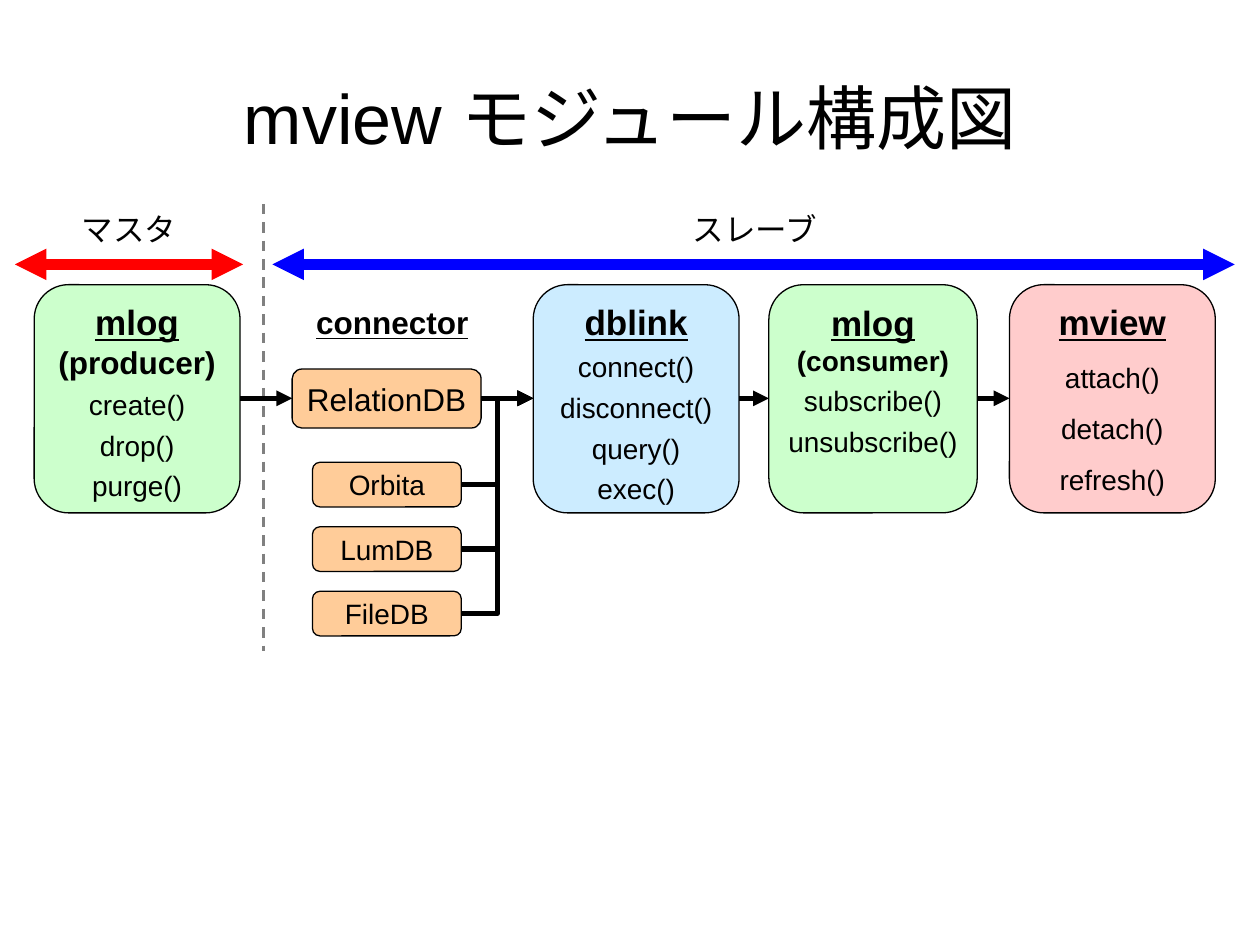
from dataclasses import dataclass

from pptx import Presentation
from pptx.dml.color import RGBColor
from pptx.enum.dml import MSO_LINE
from pptx.enum.shapes import MSO_CONNECTOR, MSO_SHAPE
from pptx.enum.text import MSO_ANCHOR, PP_ALIGN
from pptx.oxml.ns import qn
from pptx.util import Cm, Pt
from lxml.etree import SubElement

COLORS = {
    "text": "000000", "divider": "808080", "master": "FF0000", "slave": "0000FF",
    "log": "CCFFCC", "link": "CCECFF", "view": "FFCCCC", "database": "FFCC99",
}
FONT = "Arial"

# Shared positions, in centimetres
MODULE_TOP, MODULE_HEIGHT = 5.74, 4.6
FLOW_Y = MODULE_TOP + MODULE_HEIGHT / 2 - 0.01
LABEL_Y, SPAN_Y = 4.11, 5.33
DATABASE_TOP, DATABASE_STEP = 9.32, 1.3


@dataclass
class Module:
    name: str
    left: float
    width: float
    color: str
    functions: list[str]
    gap: float = 4
    role: str = ""
    role_size: float = 16

    @property
    def right(self) -> float:
        return self.left + self.width


@dataclass
class Database:
    name: str
    left: float
    top: float
    width: float
    height: float
    size: float

    @property
    def right(self) -> float:
        return self.left + self.width

    @property
    def middle(self) -> float:
        return self.top + self.height / 2


@dataclass
class Label:
    text: str
    left: float
    top: float
    width: float
    height: float = 1.02
    size: float = 18
    heading: bool = False


def rgb(color: str) -> RGBColor:
    return RGBColor.from_string(COLORS[color])


def style(paragraph, size: float, bold: bool = False, before: float = 0) -> None:
    paragraph.alignment = PP_ALIGN.CENTER
    paragraph.space_before = Pt(before)
    font = paragraph.font
    font.name, font.size, font.bold = FONT, Pt(size), bold
    font.color.rgb = rgb("text")


def draw_box(slide, left: float, top: float, width: float, height: float, color: str):
    box = slide.shapes.add_shape(
        MSO_SHAPE.ROUNDED_RECTANGLE, Cm(left), Cm(top), Cm(width), Cm(height))
    box.shadow.inherit = False
    box.fill.solid()
    box.fill.fore_color.rgb = rgb(color)
    box.line.color.rgb = rgb("text")
    box.line.width = Pt(0.75)
    box.text_frame.word_wrap = False
    return box.text_frame


def draw_module(slide, module: Module) -> None:
    frame = draw_box(slide, module.left, MODULE_TOP, module.width, MODULE_HEIGHT, module.color)
    frame.vertical_anchor = MSO_ANCHOR.TOP
    heading = frame.paragraphs[0]
    style(heading, 20, bold=True)
    name = heading.add_run()
    name.text = module.name
    name.font.underline = True
    if module.role:
        heading.add_line_break()
        role = heading.add_run()
        role.text = module.role
        role.font.size = Pt(module.role_size)
    for function in module.functions:
        line = frame.add_paragraph()
        line.text = function
        style(line, 16, before=module.gap)


def draw_database(slide, database: Database) -> None:
    frame = draw_box(slide, database.left, database.top, database.width,
                     database.height, "database")
    frame.vertical_anchor = MSO_ANCHOR.MIDDLE
    frame.text = database.name
    style(frame.paragraphs[0], database.size)


def draw_label(slide, label: Label) -> None:
    frame = slide.shapes.add_textbox(
        Cm(label.left), Cm(label.top), Cm(label.width), Cm(label.height)).text_frame
    frame.word_wrap = False
    frame.vertical_anchor = MSO_ANCHOR.MIDDLE
    frame.text = label.text
    style(frame.paragraphs[0], label.size, bold=label.heading)
    frame.paragraphs[0].font.underline = label.heading


def draw_line(slide, start: tuple[float, float], end: tuple[float, float],
              color: str = "text", width: float = 3, ends: tuple[str, ...] = ("tailEnd",),
              kind: MSO_CONNECTOR = MSO_CONNECTOR.STRAIGHT):
    connector = slide.shapes.add_connector(kind, *map(Cm, start + end))
    connector.line.color.rgb = rgb(color)
    connector.line.width = Pt(width)
    properties = connector.element.spPr
    for arrowhead in ends:
        SubElement(properties.find(qn("a:ln")), qn(f"a:{arrowhead}"), type="triangle")
    SubElement(properties, qn("a:effectLst"))
    return connector


def main() -> None:
    presentation = Presentation()
    presentation.slide_width, presentation.slide_height = Cm(25.4), Cm(19.05)
    slide = presentation.slides.add_slide(presentation.slide_layouts[6])

    # Divider between master and slave
    divider = draw_line(slide, (5.31, 4.11), (5.31, 13.13), "divider", 1.5, ends=())
    divider.line.dash_style = MSO_LINE.DASH

    # Modules
    producer = Module("mlog", 0.69, 4.15, "log", ["create()", "drop()", "purge()"],
                      role="(producer)", role_size=18)
    dblink = Module("dblink", 10.75, 4.15, "link",
                    ["connect()", "disconnect()", "query()", "exec()"])
    consumer = Module("mlog", 15.5, 4.2, "log", ["subscribe()", "unsubscribe()"],
                      role="(consumer)")
    mview = Module("mview", 20.35, 4.15, "view",
                   ["attach()", "detach()", "refresh()"], gap=10)
    for module in (producer, dblink, consumer, mview):
        draw_module(slide, module)

    # Databases behind the connector
    main_database = Database("RelationDB", 5.89, 7.44, 3.81, 1.19, 18)
    other_databases = [
        Database(name, 6.3, DATABASE_TOP + row * DATABASE_STEP, 3, 0.9, 16)
        for row, name in enumerate(["Orbita", "LumDB", "FileDB"])
    ]
    for database in (main_database, *other_databases):
        draw_database(slide, database)

    # Flow from module to module
    for source, target in ((producer, main_database), (main_database, dblink),
                           (dblink, consumer), (consumer, mview)):
        draw_line(slide, (source.right, FLOW_Y), (target.left, FLOW_Y))
    for database in other_databases:
        draw_line(slide, (database.right, database.middle), (dblink.left, FLOW_Y),
                  kind=MSO_CONNECTOR.ELBOW)

    # Master and slave spans
    for left, right, color in ((0.3, 4.9, "master"), (5.49, 24.89, "slave")):
        draw_line(slide, (left, SPAN_Y), (right, SPAN_Y), color, 6, ("headEnd", "tailEnd"))

    # Title and labels
    for label in (
        Label("mview モジュール構成図", 1.27, 0.76, 22.86, 3.18, size=40),
        Label("マスタ", 1.4, LABEL_Y, 2.41),
        Label("スレーブ", 13.69, LABEL_Y, 3.05),
        Label("connector", 6.12, 5.99, 3.58, heading=True),
    ):
        draw_label(slide, label)

    presentation.save("out.pptx")


if __name__ == "__main__":
    main()
